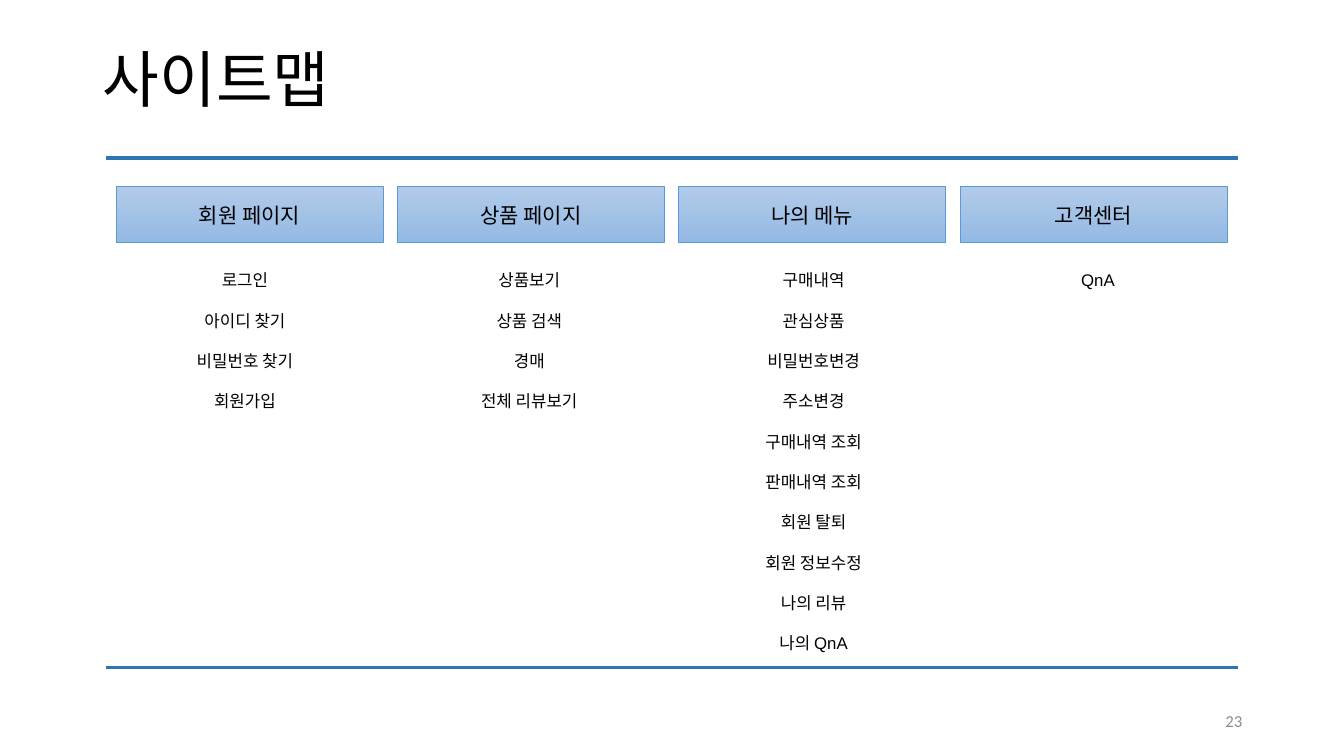
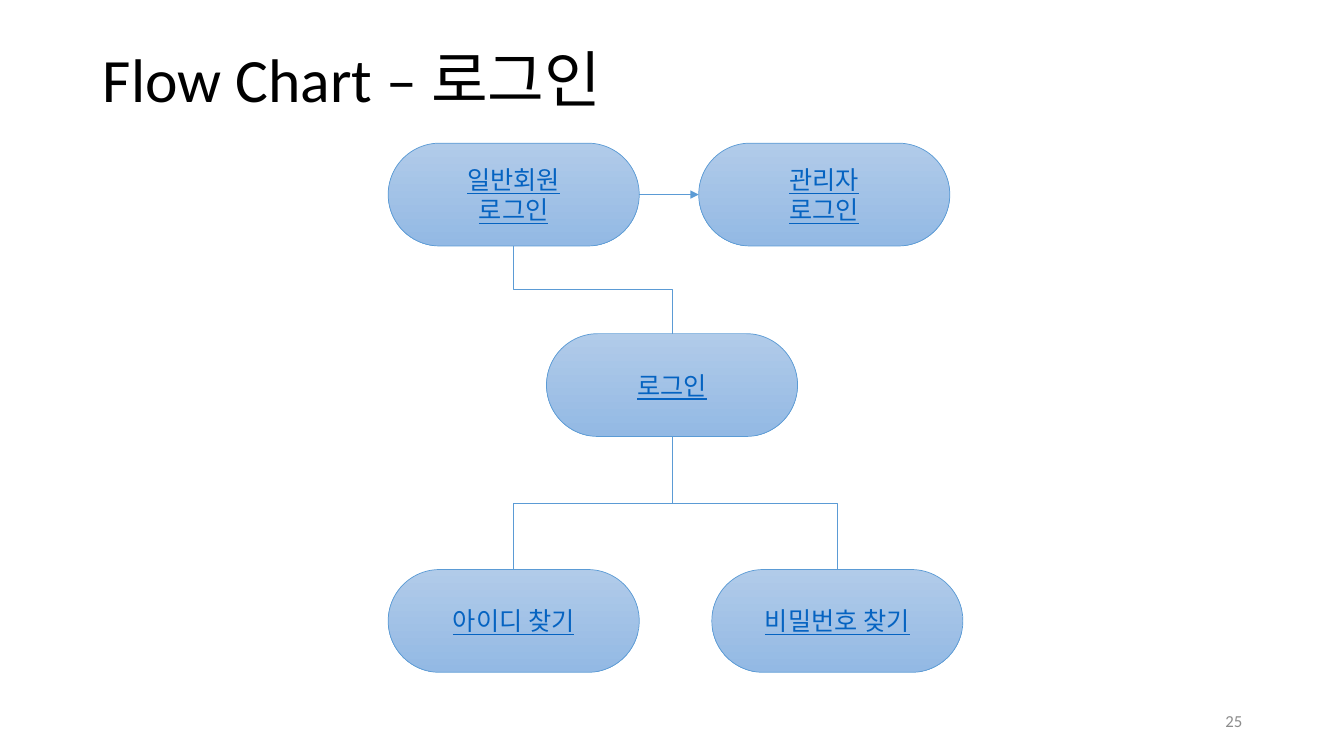
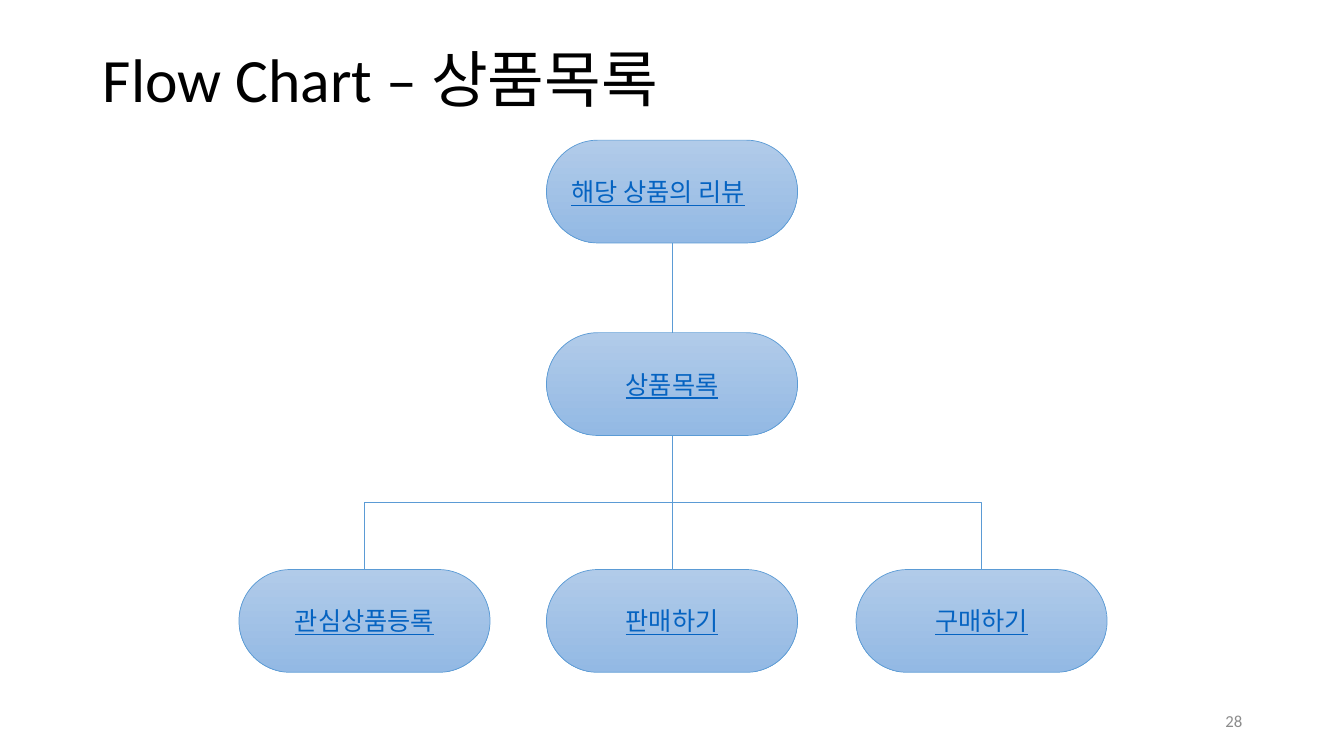
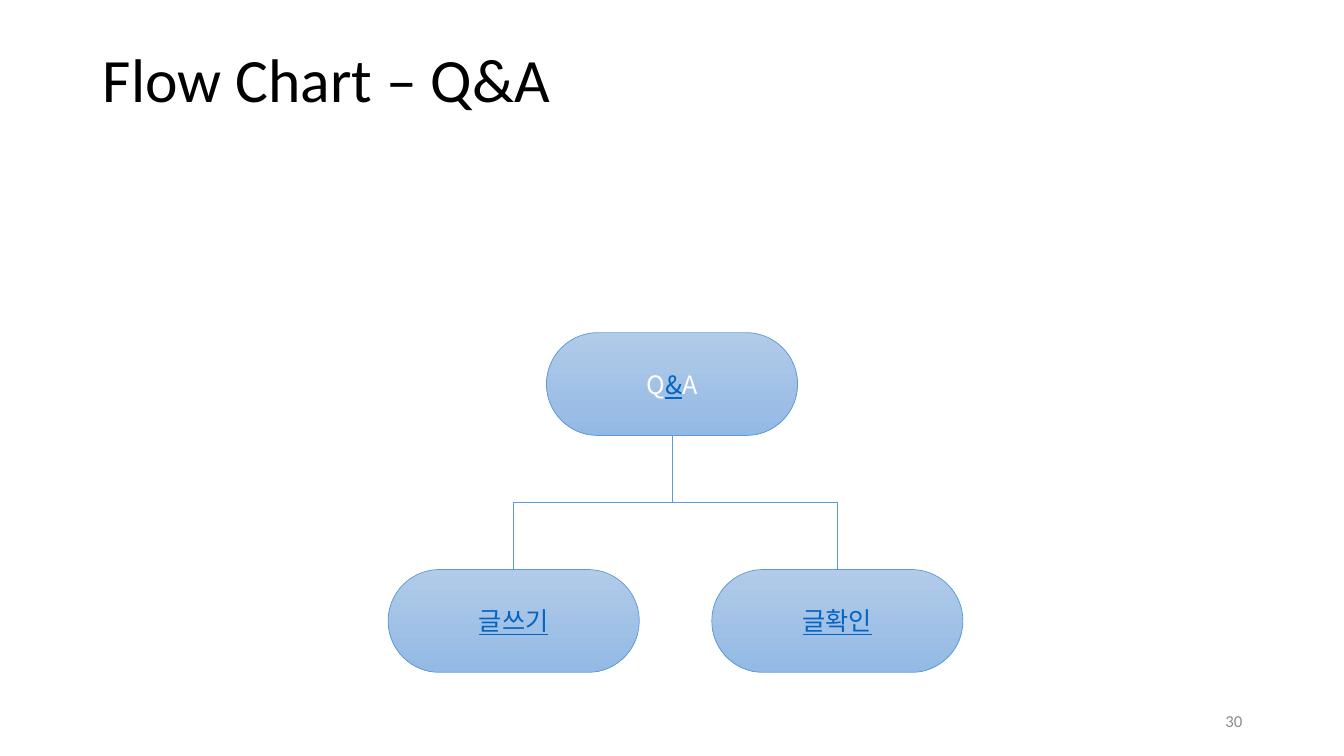
from lxml.etree import SubElement
from pptx import Presentation
from pptx.dml.color import RGBColor
from pptx.enum.shapes import MSO_CONNECTOR, MSO_SHAPE
from pptx.enum.text import MSO_ANCHOR, MSO_AUTO_SIZE, PP_ALIGN
from pptx.oxml.ns import qn
from pptx.util import Inches, Pt

# Shared style
BLACK, WHITE, GREY = "000000", "FFFFFF", "8C8C8C"
LINK, OUTLINE, RULE = "0563C1", "5B9BD5", "2E75B6"
GRADIENT = ("B1CBE9", "93B9E4")
HEADING_FONT, LIST_FONT, KOREAN_FONT = "Calibri", "Arial", "Noto Sans CJK KR"
PILL_WIDTH, PILL_HEIGHT = 2.49, 1.02
TOP, LEFT, BOTTOM, RIGHT = range(4)  # connection sites of a pill
QUARTER_TURN = 90 * 60000

# Site map
SITE_MAP = {
    "title": "사이트맵",
    "number": 23,
    "columns": [
        ("회원 페이지", ["로그인", "아이디 찾기", "비밀번호 찾기", "회원가입"]),
        ("상품 페이지", ["상품보기", "상품 검색", "경매", "전체 리뷰보기"]),
        ("나의 메뉴", ["구매내역", "관심상품", "비밀번호변경", "주소변경", "구매내역 조회",
                   "판매내역 조회", "회원 탈퇴", "회원 정보수정", "나의 리뷰", "나의 QnA"]),
        ("고객센터", ["QnA"]),
    ],
}

# Flow charts: pills are (left, top, lines); elbows run from a lower to an upper pill
FLOW_CHARTS = [
    {
        "title": "Flow Chart – 로그인",
        "number": 25,
        "pills": {
            "login": (5.42, 3.31, ["로그인"]),
            "admin": (6.93, 1.42, ["관리자", "로그인"]),
            "password": (7.06, 5.65, ["비밀번호 찾기"]),
            "id": (3.85, 5.65, ["아이디 찾기"]),
            "member": (3.85, 1.42, ["일반회원", "로그인"]),
        },
        "arrows": [("member", "admin")],
        "elbows": [("id", "login"), ("password", "login"), ("login", "member")],
    },
    {
        "title": "Flow Chart – 상품목록",
        "number": 28,
        "pills": {
            "sell": (5.42, 5.65, ["판매하기"]),
            "wish": (2.37, 5.65, ["관심상품등록"]),
            "buy": (8.49, 5.65, ["구매하기"]),
            "products": (5.42, 3.3, ["상품목록"]),
            "review": (5.42, 1.39, ["해당 상품의 리뷰"]),
        },
        "left_aligned": "review",
        "verticals": [("products", "review"), ("sell", "products")],
        "elbows": [("wish", "products"), ("buy", "products")],
    },
    {
        "title": "Flow Chart – Q&A",
        "number": 30,
        "pills": {
            "qna": (5.42, 3.3, ["Q&A"]),
            "write": (3.85, 5.65, ["글쓰기"]),
            "read": (7.06, 5.65, ["글확인"]),
        },
        "linked_part": {"qna": "&"},
        "elbows": [("write", "qna"), ("read", "qna")],
    },
]


def colour(value):
    return RGBColor.from_string(value)


def style(paragraph, size, font, value=None, align=PP_ALIGN.CENTER):
    paragraph.alignment = align
    paragraph.font.size = Pt(size)
    paragraph.font.name = font
    if value:
        paragraph.font.color.rgb = colour(value)


def box(left, top, width, height):
    return [Inches(value) for value in (left, top, width, height)]


def add_slide(presentation, title, number):
    slide = presentation.slides.add_slide(presentation.slide_layouts[5])
    # Title
    shape = slide.shapes.title
    shape.left, shape.top, shape.width, shape.height = box(0.92, 0.4, 11.5, 0.84)
    frame = shape.text_frame
    frame.text = title
    frame.auto_size = MSO_AUTO_SIZE.NONE
    frame.vertical_anchor = MSO_ANCHOR.MIDDLE
    frame.paragraphs[0].line_spacing = 0.9
    style(frame.paragraphs[0], 44, HEADING_FONT, BLACK, PP_ALIGN.LEFT)
    # Page number
    frame = slide.shapes.add_textbox(*box(9.42, 6.95, 3, 0.4)).text_frame
    frame.text = str(number)
    frame.word_wrap = True
    frame.vertical_anchor = MSO_ANCHOR.MIDDLE
    style(frame.paragraphs[0], 12, HEADING_FONT, GREY, PP_ALIGN.RIGHT)
    return slide


def add_panel(slide, kind, left, top, width, height):
    shape = slide.shapes.add_shape(kind, *box(left, top, width, height))
    shape.shadow.inherit = False
    shape.fill.gradient()
    shape.fill.gradient_angle = 270
    for stop, value in zip(shape.fill.gradient_stops, GRADIENT):
        stop.color.rgb = colour(value)
    shape.line.color.rgb = colour(OUTLINE)
    shape.line.width = Pt(0.5)
    shape.text_frame.word_wrap = True
    shape.text_frame.vertical_anchor = MSO_ANCHOR.MIDDLE
    return shape


def add_line(slide, kind=MSO_CONNECTOR.STRAIGHT, ends=(0, 0, 0, 0), value=OUTLINE, width=0.5):
    connector = slide.shapes.add_connector(kind, *box(*ends))
    connector.line.color.rgb = colour(value)
    connector.line.width = Pt(width)
    SubElement(connector._element.spPr, qn("a:effectLst"))
    return connector


def join(slide, start, start_site, end, end_site, kind=MSO_CONNECTOR.STRAIGHT):
    connector = add_line(slide, kind)
    connector.begin_connect(start, start_site)
    connector.end_connect(end, end_site)
    return connector


def add_elbow(slide, lower, upper):
    """Turn the elbow a quarter so that it leaves and arrives vertically."""
    connector = join(slide, lower, TOP, upper, BOTTOM, MSO_CONNECTOR.ELBOW)
    centre_x = connector.left + connector.width // 2
    centre_y = connector.top + connector.height // 2
    connector.width, connector.height = connector.height, connector.width
    connector.left = centre_x - connector.width // 2
    connector.top = centre_y - connector.height // 2
    rises_right = lower.left < upper.left
    transform = connector._element.spPr.find(qn("a:xfrm"))
    transform.set("rot", str(QUARTER_TURN if rises_right else 3 * QUARTER_TURN))
    transform.set("flipH", "1" if rises_right else "0")
    transform.set("flipV", "1")


def add_pill(slide, left, top, lines, linked_part, align):
    shape = add_panel(slide, MSO_SHAPE.ROUNDED_RECTANGLE, left, top, PILL_WIDTH, PILL_HEIGHT)
    shape.adjustments[0] = 0.5
    frame = shape.text_frame
    for index, line in enumerate(lines):
        paragraph = frame.add_paragraph() if index else frame.paragraphs[0]
        style(paragraph, 18, KOREAN_FONT, align=align)
        linked = linked_part or line
        before, _, after = line.partition(linked)
        for text in filter(None, (before, linked, after)):
            run = paragraph.add_run()
            run.text = text
            run.font.underline = text == linked
            run.font.color.rgb = colour(LINK if text == linked else WHITE)
    return shape


def build_site_map(presentation, title, number, columns):
    slide = add_slide(presentation, title, number)
    for y, width in ((1.57, 3), (6.62, 2.5)):
        add_line(slide, ends=(1.05, y, 12.28, y), value=RULE, width=width)
    for index, (heading, pages) in enumerate(columns):
        # Column heading
        panel = add_panel(slide, MSO_SHAPE.RECTANGLE, 1.15 + 2.79 * index, 1.85, 2.65, 0.56)
        panel.text_frame.text = heading
        style(panel.text_frame.paragraphs[0], 15, HEADING_FONT, BLACK)
        # Page list
        area = box(1.1 + 2.82 * index, 2.63, 2.66, 0.4 * len(pages) - 0.1)
        frame = slide.shapes.add_textbox(*area).text_frame
        frame.word_wrap = True
        frame.text = "\n".join(pages)
        for paragraph in frame.paragraphs:
            paragraph.line_spacing = paragraph.space_after = Pt(14.4)
            style(paragraph, 12, LIST_FONT, BLACK)


def build_flow_chart(presentation, chart):
    slide = add_slide(presentation, chart["title"], chart["number"])
    pills = {}
    for name, (left, top, lines) in chart["pills"].items():
        align = PP_ALIGN.LEFT if name == chart.get("left_aligned") else PP_ALIGN.CENTER
        linked_part = chart.get("linked_part", {}).get(name)
        pills[name] = add_pill(slide, left, top, lines, linked_part, align)
    for start, end in chart.get("arrows", []):
        arrow = join(slide, pills[start], RIGHT, pills[end], LEFT)
        SubElement(arrow.line._get_or_add_ln(), qn("a:tailEnd"), type="triangle")
    for lower, upper in chart.get("verticals", []):
        join(slide, pills[lower], TOP, pills[upper], BOTTOM)
    for lower, upper in chart["elbows"]:
        add_elbow(slide, pills[lower], pills[upper])


def main():
    presentation = Presentation()
    presentation.slide_width, presentation.slide_height = Inches(13.33), Inches(7.5)
    build_site_map(presentation, **SITE_MAP)
    for chart in FLOW_CHARTS:
        build_flow_chart(presentation, chart)
    presentation.save("out.pptx")


if __name__ == "__main__":
    main()
